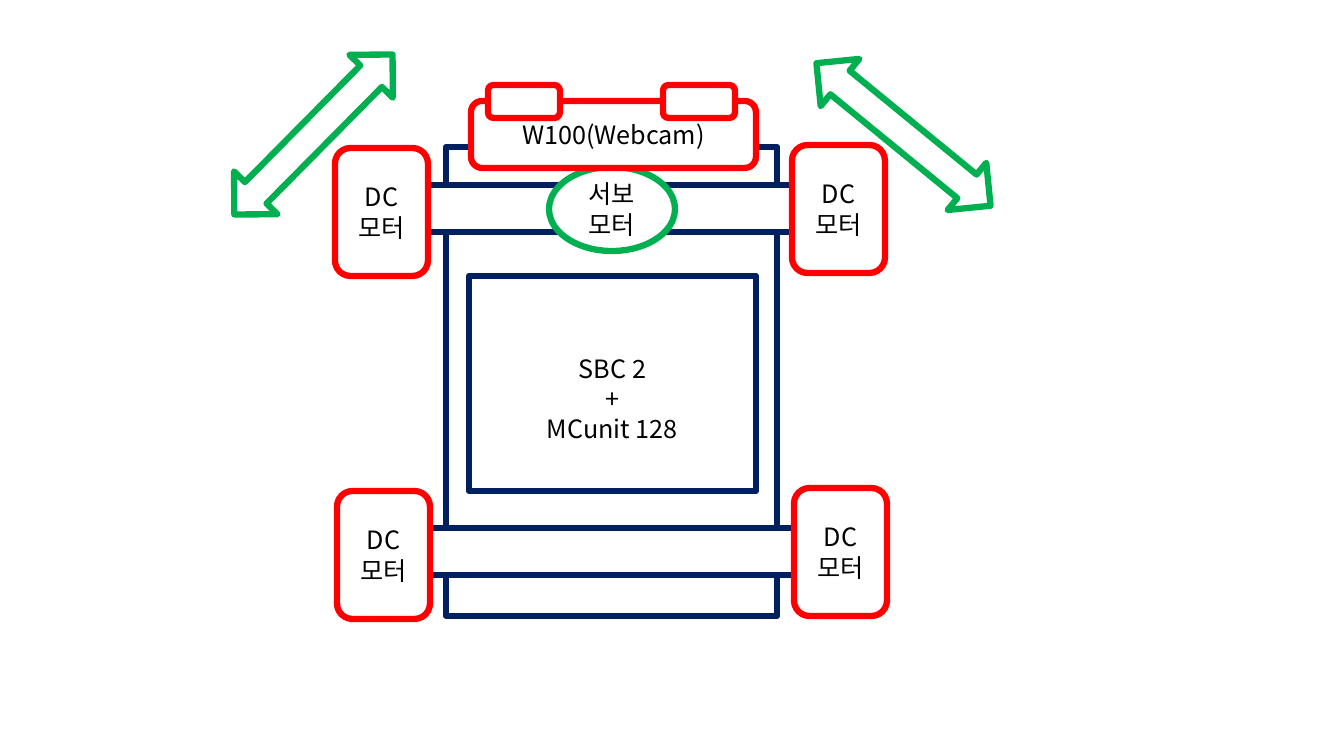
"""Draw the top view of a webcam robot car with its motors and controller board."""
from lxml import etree
from pptx import Presentation
from pptx.dml.color import RGBColor
from pptx.enum.shapes import MSO_SHAPE
from pptx.enum.text import MSO_ANCHOR, PP_ALIGN
from pptx.oxml.ns import qn
from pptx.util import Pt

PX = 914400 / 100.8
FONT = "Noto Sans CJK KR"
WHITE = RGBColor(0xFF, 0xFF, 0xFF)
BLACK = RGBColor(0x00, 0x00, 0x00)
NAVY = RGBColor(0x00, 0x20, 0x60)
RED = RGBColor(0xFF, 0x00, 0x00)
GREEN = RGBColor(0x00, 0xB0, 0x50)
RECT = MSO_SHAPE.RECTANGLE
ROUNDED = MSO_SHAPE.ROUNDED_RECTANGLE
OVAL = MSO_SHAPE.OVAL
TWO_WAY_ARROW = MSO_SHAPE.LEFT_RIGHT_ARROW
MIDDLE = MSO_ANCHOR.MIDDLE
CENTER = PP_ALIGN.CENTER


def px(length):
    return round(length * PX)


def add_part(kind, left, top, width, height, color, lines=()):
    part = slide.shapes.add_shape(kind, px(left), px(top), px(width), px(height))
    part.shadow.inherit = False
    part.fill.solid()
    part.fill.fore_color.rgb = WHITE
    part.line.color.rgb = color
    part.line.width = Pt(4.5)
    frame = part.text_frame
    frame.word_wrap = True
    frame.vertical_anchor = MIDDLE
    for i, line in enumerate(lines):
        paragraph = frame.add_paragraph() if i else frame.paragraphs[0]
        paragraph.alignment = CENTER
        run = paragraph.add_run()
        run.text = line
        run.font.name = FONT
        run.font.size = Pt(18)
        run.font.color.rgb = BLACK
        etree.SubElement(run.font._element, qn("a:ea"), typeface=FONT)
    return part


prs = Presentation()
prs.slide_width = px(1344)
prs.slide_height = px(756)
slide = prs.slides.add_slide(prs.slide_layouts[6])

add_part(RECT, 446, 147, 331, 469, NAVY)

for axle_left, axle_top in ((337, 185), (339, 528)):
    add_part(RECT, axle_left, axle_top, 493, 47, NAVY)
    for shift, rise in ((-2, 37), (455, 40)):
        add_part(ROUNDED, axle_left + shift, axle_top - rise, 93, 128, RED, ["DC", "모터"])

add_part(OVAL, 549, 167, 126, 84, GREEN, ["서보모터"])

board = add_part(RECT, 469, 276, 287, 215, NAVY, ["SBC 2", "+", "MCunit 128"])
board.text_frame.margin_top = px(35)

add_part(ROUNDED, 471, 101, 285, 67, RED, ["W100(Webcam)"])
for clip_left in (488, 663):
    add_part(ROUNDED, clip_left, 85, 72, 33, RED)

for arrow_left, angle in ((201, 314.7), (791, 39.3)):
    turn_arrow = add_part(TWO_WAY_ARROW, arrow_left, 104, 225, 61, GREEN)
    turn_arrow.rotation = angle

prs.save("out.pptx")
